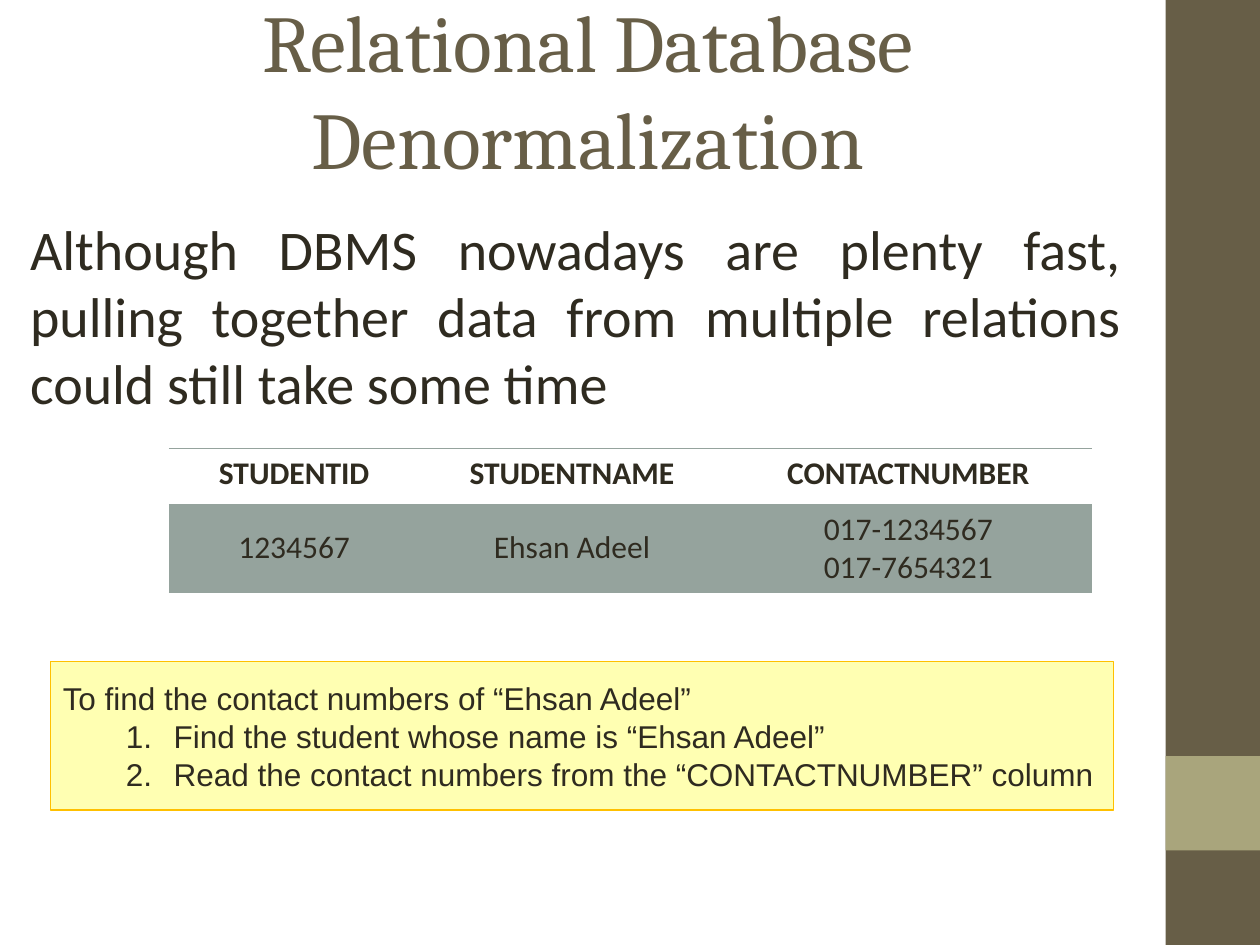
"""Build a slide on relational database denormalization."""
from lxml import etree
from pptx import Presentation, util as u
from pptx.dml.color import RGBColor
from pptx.enum import shapes, text
from pptx.oxml.ns import qn

HUES = {"olive": "675E47", "sage": "A9A57C", "ink": "2F2B20",
        "gray": "95A39D", "lemon": "FFFF00", "gold": "FFC000"}
TITLE = "Relational Database Denormalization"
BODY = ("Although DBMS nowadays are plenty fast, pulling together data "
        "from multiple relations could still take some time")
TASK = "To find the contact numbers of “Ehsan Adeel”"
STEPS = ["Find the student whose name is “Ehsan Adeel”",
         "Read the contact numbers from the “CONTACTNUMBER” column"]
ROWS = [(["STUDENTID"], ["STUDENTNAME"], ["CONTACTNUMBER"]),
        (["1234567"], ["Ehsan Adeel"], ["017-1234567", "017-7654321"])]
COLS = [1.99, 2.42, 2.92]
HIGHS = [0.44, 0.7]
BARS = [((9.25, 0, 0.75, 7.5), "olive"), ((9.25, 6, 0.75, 0.75), "sage")]
LEFT, MID, JUST = (text.PP_ALIGN.LEFT, text.PP_ALIGN.CENTER,
                   text.PP_ALIGN.JUSTIFY)
FORMS = {
    "title": {"name": "Cambria", "size": 46, "hue": "olive", "align": MID},
    "body": {"name": "Calibri", "size": 32, "hue": "ink", "align": JUST},
    "note": {"name": "Arial", "size": 18, "hue": "ink", "align": LEFT},
    "head": {"name": "Calibri", "size": 18, "hue": "ink", "align": MID,
             "bold": True},
    "cell": {"name": "Calibri", "size": 18, "hue": "ink", "align": MID,
             "bold": False},
}


def color(hue):
    return RGBColor.from_string(HUES[hue])


def node(root, tag, **attrs):
    return etree.SubElement(root, qn("a:" + tag), attrs)


def paint(item, hue, alpha=None):
    item.fill.solid()
    item.fill.fore_color.rgb = color(hue)
    if alpha:
        tone = item.fill._xPr.find(".//" + qn("a:srgbClr"))
        node(tone, "alpha", val=str(alpha * 1000))


def write(frame, lines, form):
    frame.word_wrap = True
    look = FORMS[form]
    for i, line in enumerate(lines):
        para = frame.paragraphs[0] if i == 0 else frame.add_paragraph()
        para.alignment = look["align"]
        run = para.add_run()
        run.text = line
        run.font.color.rgb = color(look["hue"])
        run.font.size = u.Pt(look["size"])
        for key in ("name", "bold"):
            setattr(run.font, key, look.get(key))


def label(slide, at, line, form, anchor):
    box = slide.shapes.add_textbox(*map(u.Inches, at))
    write(box.text_frame, [line], form)
    box.text_frame.vertical_anchor = anchor


def block(slide, at):
    box = slide.shapes.add_shape(shapes.MSO_SHAPE.RECTANGLE,
                                 *map(u.Inches, at))
    box.shadow.inherit = False
    box.line.fill.background()
    return box


def number(para):
    para.level = 1
    props = para._p.get_or_add_pPr()
    props.set("marL", str(u.Inches(0.88)))
    props.set("indent", str(u.Inches(-0.38)))
    node(node(props, "buClr"), "srgbClr", val=HUES["ink"])
    node(props, "buFont", typeface="Arial")
    node(props, "buAutoNum", type="arabicPeriod")


def border(cell):
    props = cell._tc.get_or_add_tcPr()
    for side in "LR":
        node(node(props, "ln" + side), "noFill")
    for side in "TB":
        line = node(props, "ln" + side, w=str(u.Pt(0.45)))
        node(node(line, "solidFill"), "srgbClr", val=HUES["gray"])


def grid(slide):
    at = (1.34, 3.56, sum(COLS), sum(HIGHS))
    table = slide.shapes.add_table(len(ROWS), len(COLS),
                                   *map(u.Inches, at)).table
    style = table._tbl.tblPr.find(qn("a:tableStyleId"))
    style.text = "{2D5ABB26-0587-4C30-8999-92F81FD0307C}"
    for col, wide in zip(table.columns, COLS):
        col.width = u.Inches(wide)
    for r, row in enumerate(ROWS):
        table.rows[r].height = u.Inches(HIGHS[r])
        for c, lines in enumerate(row):
            cell = table.cell(r, c)
            write(cell.text_frame, lines, "cell" if r else "head")
            border(cell)
            if r:
                cell.vertical_anchor = text.MSO_ANCHOR.MIDDLE
                paint(cell, "gray", 20)
            else:
                cell.fill.background()


def main():
    deck = Presentation()
    deck.slide_width, deck.slide_height = u.Inches(10), u.Inches(7.5)
    slide = deck.slides.add_slide(deck.slide_layouts[6])
    for at, hue in BARS:
        paint(block(slide, at), hue)
    label(slide, (0.14, 1.65, 8.86, 1.18), BODY, "body", text.MSO_ANCHOR.TOP)
    note = block(slide, (0.4, 5.25, 8.44, 1.18))
    paint(note, "lemon", 30)
    note.line.color.rgb = color("gold")
    note.line.width = u.Pt(0.75)
    write(note.text_frame, [TASK] + STEPS, "note")
    note.text_frame.vertical_anchor = text.MSO_ANCHOR.MIDDLE
    for para in note.text_frame.paragraphs[1:]:
        number(para)
    grid(slide)
    label(slide, (0.5, 0.08, 8.33, 1.25), TITLE, "title",
          text.MSO_ANCHOR.MIDDLE)
    deck.save("out.pptx")


if __name__ == "__main__":
    main()
